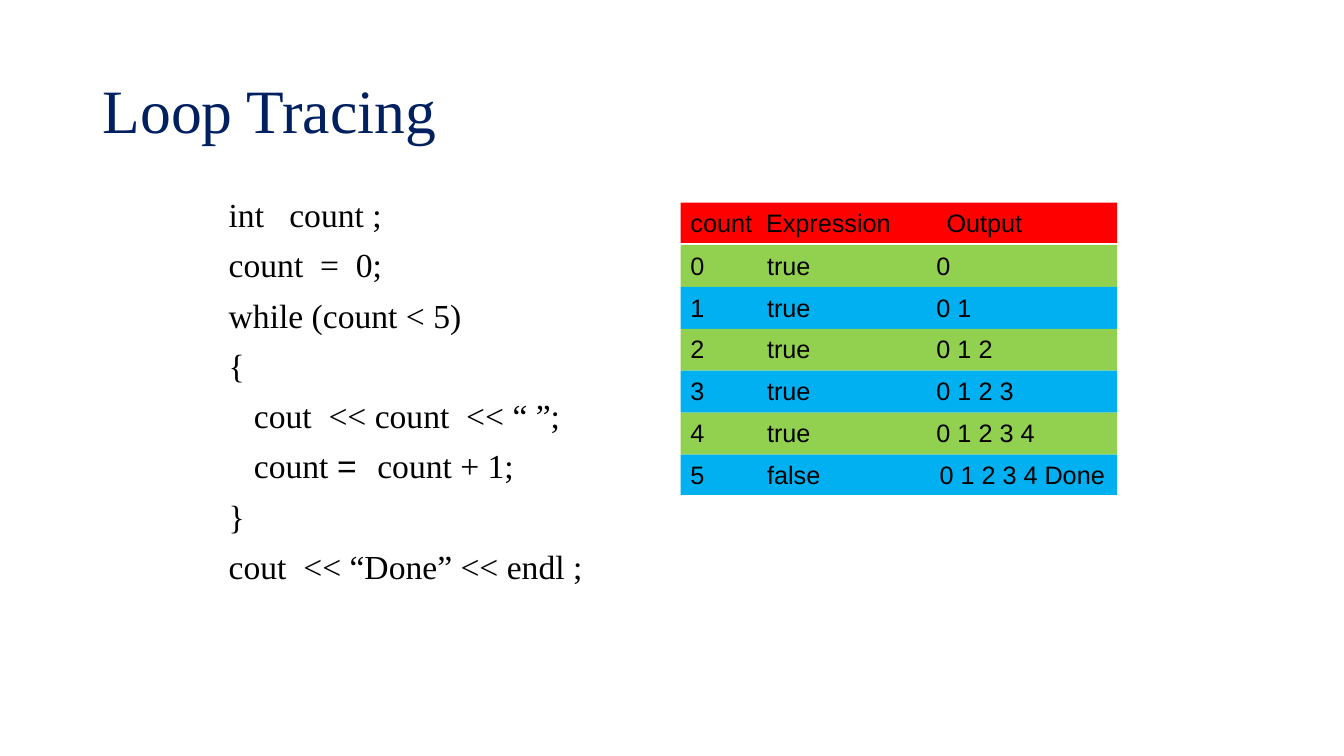
import pptx
import pptx.dml.color
import pptx.enum.shapes
import pptx.enum.text
import pptx.util
from lxml import etree
from pptx.util import Inches

COLORS = {"title": "002060", "text": "000000", "header": "FF0000",
          "even": "92D050", "odd": "00B0F0"}
SERIF, SANS, MONO = "Times New Roman", "Arial", "Courier New"
HEADING = "Loop Tracing"
CODE = [
    (0, [("int   count ;", SERIF)]),
    (0, [("count  =  0;", SERIF)]),
    (0, [("while (count < 5)", SERIF)]),
    (0, [("{", SERIF)]),
    (1, [("cout  << count  << “ ”;", SERIF)]),
    (1, [("count ", SERIF), ("= ", MONO), ("count + 1;", SERIF)]),
    (0, [("}", SERIF)]),
    (0, [("cout  << “Done” << endl ;", SERIF)]),
]
TRACE_HEADER = ("count", "Expression", "Output")
TRACE_STEPS = [
    ("0", "true", "0"),
    ("1", "true", "0 1"),
    ("2", "true", "0 1 2"),
    ("3", "true", "0 1 2 3"),
    ("4", "true", "0 1 2 3 4"),
    ("5", "false", "0 1 2 3 4 Done"),
]
HEADER_STOPS, STEP_STOPS, FINAL_STOPS = (0.75, 2.54), (0.76, 2.44), (0.76, 2.47)
TRACE_LEFT, TRACE_WIDTH = 6.75, 4.33
HEADER_TOP, FIRST_STEP_TOP, FINAL_STEP_TOP = 2.01, 2.43, 4.51
EDGE_HEIGHT = 0.4
DRAWING = "http://schemas.openxmlformats.org/drawingml/2006/main"


def rgb(part):
    return pptx.dml.color.RGBColor.from_string(COLORS[part])


def set_font(font, size, color, name=None):
    font.size = pptx.util.Pt(size)
    font.color.rgb = rgb(color)
    if name:
        font.name = name


def add_text_frame(slide, left, top, width, height):
    frame = slide.shapes.add_textbox(
        Inches(left), Inches(top), Inches(width), Inches(height)).text_frame
    frame.word_wrap = True
    return frame


def add_heading(slide):
    frame = add_text_frame(slide, 0.92, 0.4, 11.5, 1.45)
    frame.vertical_anchor = pptx.enum.text.MSO_ANCHOR.MIDDLE
    heading = frame.paragraphs[0]
    heading.text = HEADING
    heading.line_spacing = 0.9
    set_font(heading.font, 44, "title", SERIF)


def add_code(slide):
    frame = add_text_frame(slide, 2.17, 1.92, 3.83, 4.42)
    for number, (level, pieces) in enumerate(CODE):
        line = frame.add_paragraph() if number else frame.paragraphs[0]
        line.line_spacing = 0.9
        if number:
            line.space_before = pptx.util.Pt(10)
        properties = line._p.get_or_add_pPr()
        properties.set("marL", str(Inches(0.25)))
        properties.set("indent", str(Inches(0.25 * (level - 1))))
        set_font(line.font, 24, "text")
        for text, font_name in pieces:
            run = line.add_run()
            run.text = text
            run.font.name = font_name


def add_trace_row(slide, values, stops, top, height, band):
    row = slide.shapes.add_shape(
        pptx.enum.shapes.MSO_SHAPE.RECTANGLE, Inches(TRACE_LEFT), Inches(top),
        Inches(TRACE_WIDTH), Inches(height))
    row.shadow.inherit = False
    row.fill.solid()
    row.fill.fore_color.rgb = rgb(band)
    row.line.fill.background()
    frame = row.text_frame
    frame.word_wrap = True
    frame.vertical_anchor = pptx.enum.text.MSO_ANCHOR.TOP
    line = frame.paragraphs[0]
    line.add_run().text = "\t".join(values)
    line.alignment = pptx.enum.text.PP_ALIGN.LEFT
    tabs = etree.SubElement(line._p.get_or_add_pPr(), f"{{{DRAWING}}}tabLst")
    for stop in stops:
        etree.SubElement(tabs, f"{{{DRAWING}}}tab", pos=str(Inches(stop)), algn="l")
    set_font(line.font, 18, "text", SANS)


def add_trace(slide):
    add_trace_row(slide, TRACE_HEADER, HEADER_STOPS, HEADER_TOP, EDGE_HEIGHT, "header")
    final = len(TRACE_STEPS) - 1
    pitch = (FINAL_STEP_TOP - FIRST_STEP_TOP) / final
    for number, values in enumerate(TRACE_STEPS):
        add_trace_row(slide, values,
                      FINAL_STOPS if number == final else STEP_STOPS,
                      FIRST_STEP_TOP + number * pitch,
                      EDGE_HEIGHT if number == final else pitch,
                      "odd" if number % 2 else "even")


def main():
    deck = pptx.Presentation()
    deck.slide_width, deck.slide_height = Inches(13.33), Inches(7.5)
    slide = deck.slides.add_slide(deck.slide_layouts[6])
    add_heading(slide)
    add_code(slide)
    add_trace(slide)
    deck.save("out.pptx")


if __name__ == "__main__":
    main()
